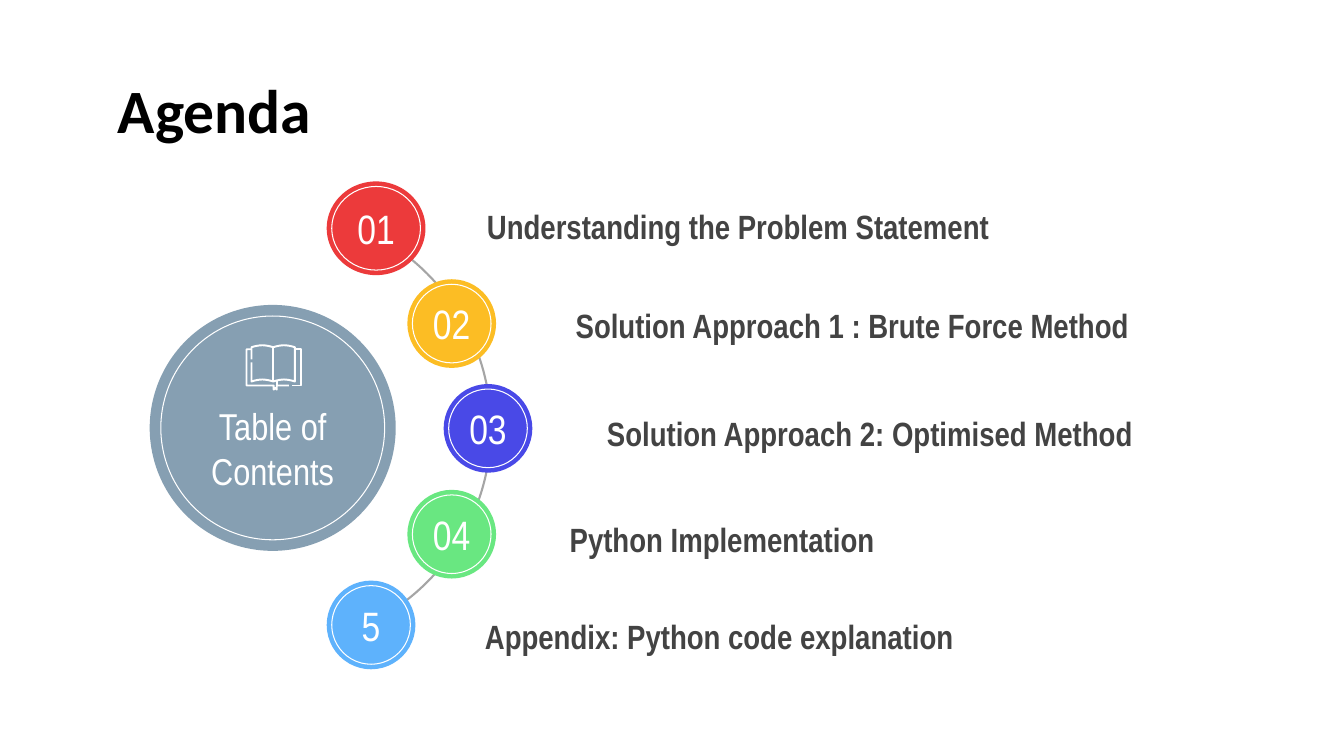
from dataclasses import dataclass
from math import pi, sin

from lxml import etree
from pptx import Presentation
from pptx.dml.color import RGBColor
from pptx.enum.shapes import MSO_SHAPE
from pptx.enum.text import MSO_ANCHOR, PP_ALIGN
from pptx.util import Inches, Pt

ARC, OVAL = MSO_SHAPE.ARC, MSO_SHAPE.OVAL
MIDDLE = MSO_ANCHOR.MIDDLE
LEFT, CENTER = PP_ALIGN.LEFT, PP_ALIGN.CENTER


@dataclass(frozen=True)
class Theme:
    """Colours, fonts and type sizes of the slide."""
    title_font: str = "Calibri"
    body_font: str = "Arial Narrow"
    black: str = "000000"
    white: str = "FFFFFF"
    label: str = "434343"
    arc: str = "A5A5A5"
    hub: str = "869FB2"
    title_size: float = 44
    label_size: float = 24
    number_size: float = 29.3
    hub_size: float = 26.7
    ring_width: float = 0.75
    arc_width: float = 1.5
    icon_width: float = 1.4


THEME = Theme()
MARGIN = 0.13
LABEL_HEIGHT = 0.53
AGENDA = [
    ("01", "EC3A3B", (3.24, 1.8, 0.98, 0.93),
     "Understanding the Problem Statement", (4.7, 1.98, 5.64)),
    ("02", "FCBD24", (4.04, 2.77, 0.88, 0.88),
     "Solution Approach 1 : Brute Force Method", (5.58, 2.96, 6.2)),
    ("03", "4949E7", (4.4, 3.81, 0.88, 0.88),
     "Solution Approach 2: Optimised Method", (5.89, 4.03, 5.89)),
    ("04", "69E781", (4.04, 4.86, 0.88, 0.88),
     "Python Implementation", (5.52, 5.08, 3.79)),
    ("5", "5EB2FC", (3.24, 5.76, 0.88, 0.88),
     "Appendix: Python code explanation", (4.68, 6.05, 5.77)),
]


def style_shape(shape, fill=None, line=None, width=THEME.ring_width):
    """Give a shape its fill and line, and take away its shadow."""
    shape.shadow.inherit = False
    if fill:
        shape.fill.solid()
        shape.fill.fore_color.rgb = RGBColor.from_string(fill)
    else:
        shape.fill.background()
    if line:
        shape.line.color.rgb = RGBColor.from_string(line)
        shape.line.width = Pt(width)
    else:
        shape.line.fill.background()


def write_text(shape, lines, size, color, font=THEME.body_font, bold=False,
               align=LEFT, margins=(MARGIN,) * 4, wrap=True):
    """Write one paragraph of lines, centred vertically in the shape."""
    frame = shape.text_frame
    frame.word_wrap = wrap
    frame.vertical_anchor = MIDDLE
    (frame.margin_left, frame.margin_top,
     frame.margin_right, frame.margin_bottom) = map(Inches, margins)
    paragraph = frame.paragraphs[0]
    paragraph.text = "\v".join(lines)
    paragraph.alignment = align
    paragraph.font.name = font
    paragraph.font.size = Pt(size)
    paragraph.font.bold = bold
    paragraph.font.color.rgb = RGBColor.from_string(color)
    return paragraph


def add_ringed_disc(slide, box, color, inset):
    """Draw a filled disc with a thin white ring inside it; return the ring."""
    left, top, width, height = box
    disc = slide.shapes.add_shape(OVAL, *map(Inches, box))
    style_shape(disc, fill=color)
    ring_box = (left + inset, top + inset, width - 2 * inset, height - 2 * inset)
    ring = slide.shapes.add_shape(OVAL, *map(Inches, ring_box))
    style_shape(ring, line=THEME.white)
    return ring


def page_edge(start, end, level, steps=8):
    """Return the points of a page edge that bulges gently upwards."""
    return [(start + (end - start) * step / steps,
             level - 0.02 * sin(pi * step / steps)) for step in range(steps + 1)]


def add_book(slide, left, top):
    """Draw an open book with a bookmark in white strokes."""
    edge, spine, far_edge, upper, lower = 0.06, 0.275, 0.49, 0.03, 0.37
    cover_top, cover_bottom = 0.05, 0.41
    pages = [(edge, 0.15), *page_edge(edge, spine, upper),
             *page_edge(spine, far_edge, upper),
             *page_edge(far_edge, spine, lower),
             *page_edge(spine, edge, lower), (edge, 0.18)]
    front = [(edge, cover_top), (0.01, cover_top), (0.01, cover_bottom),
             (0.28, cover_bottom), (0.28, 0.45), (0.295, 0.435), (0.31, 0.45),
             (0.31, cover_bottom), (0.43, cover_bottom)]
    back = [(far_edge, cover_top), (0.55, cover_top),
            (0.55, cover_bottom), (0.46, cover_bottom)]
    fold = [(spine, upper), (spine, lower)]
    bookmark = [(0.31, lower), (0.31, cover_bottom)]
    for points in (pages, front, back, fold, bookmark):
        units = [(round(x * 1000), round(y * 1000)) for x, y in points]
        builder = slide.shapes.build_freeform(*units[0], scale=Inches(1) / 1000)
        builder.add_line_segments(units[1:], close=False)
        stroke = builder.convert_to_shape(Inches(left), Inches(top))
        style_shape(stroke, line=THEME.white, width=THEME.icon_width)
        etree.SubElement(stroke.line._get_or_add_ln(),
                         "{http://schemas.openxmlformats.org/drawingml/2006/main}round")


def add_title(slide, box):
    """Write the slide title."""
    title = slide.shapes.add_textbox(*map(Inches, box))
    paragraph = write_text(title, ["Agenda"], THEME.title_size, THEME.black,
                           font=THEME.title_font, bold=True)
    paragraph.line_spacing = 0.9


def add_hub(slide, box):
    """Draw the arc, and the contents disc at the centre of its box."""
    left, top, width, height = box
    arc = slide.shapes.add_shape(ARC, *map(Inches, box))
    arc.adjustments[0], arc.adjustments[1] = 178.14, 38.46
    style_shape(arc, line=THEME.arc, width=THEME.arc_width)
    size = 2.44
    disc_left, disc_top = left + (width - size) / 2, top + (height - size) / 2
    ring = add_ringed_disc(slide, (disc_left, disc_top, size, size), THEME.hub, 0.11)
    write_text(ring, ["Table of", "Contents"], THEME.hub_size, THEME.white,
               align=CENTER, margins=(0, 0.4, 0, 0), wrap=False)
    add_book(slide, disc_left + 0.95, disc_top + 0.39)


def add_agenda_item(slide, number, color, badge_box, text, label_box):
    """Draw one numbered badge and its label."""
    ring = add_ringed_disc(slide, badge_box, color, 0.05)
    write_text(ring, [number], THEME.number_size, THEME.white,
               align=CENTER, margins=(0,) * 4, wrap=False)
    label = slide.shapes.add_textbox(*map(Inches, (*label_box, LABEL_HEIGHT)))
    write_text(label, [text], THEME.label_size, THEME.label, bold=True)


def build_presentation():
    """Build the agenda slide and save it."""
    presentation = Presentation()
    presentation.slide_width = Inches(13.33)
    presentation.slide_height = Inches(7.5)
    slide = presentation.slides.add_slide(presentation.slide_layouts[6])
    add_hub(slide, (0.54, 2.08, 4.33, 4.33))
    add_title(slide, (1.04, 0.78, 11.26, 0.7))
    for item in AGENDA:
        add_agenda_item(slide, *item)
    presentation.save("out.pptx")


build_presentation()
